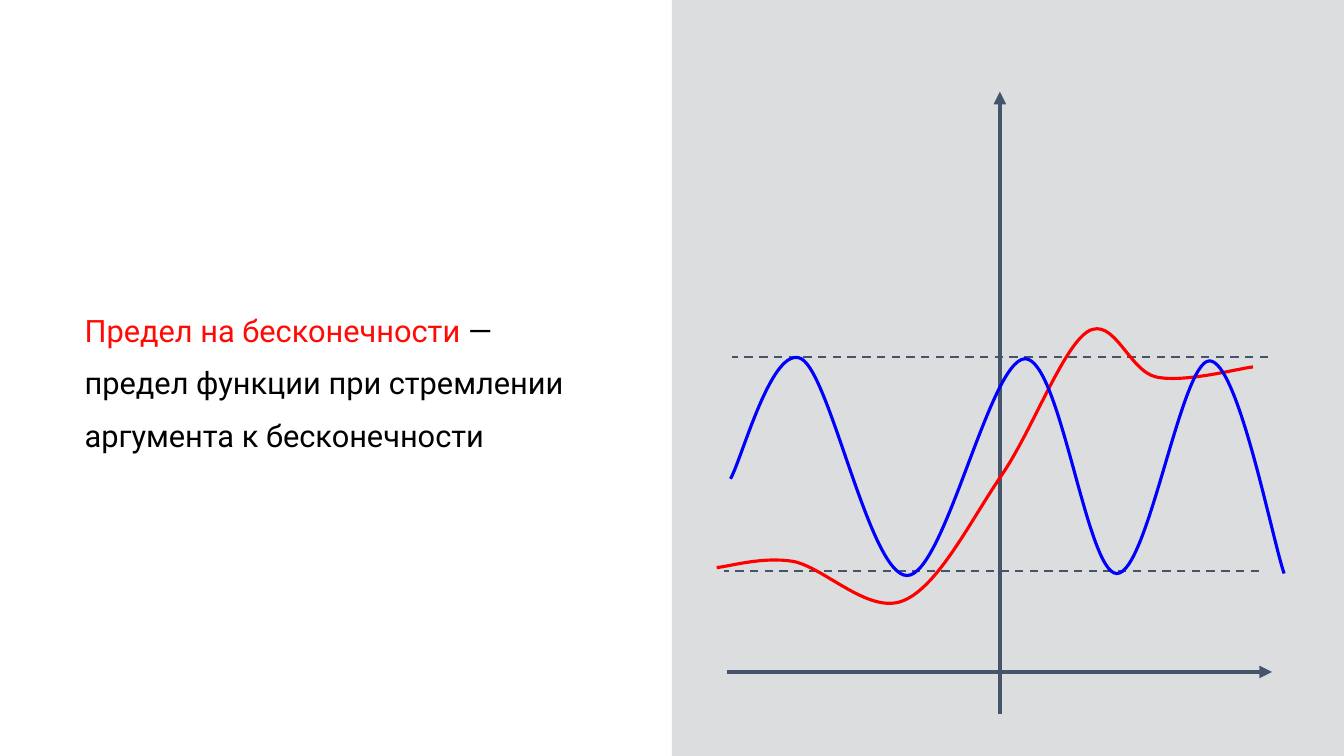
"""Build the slide that defines a limit at infinity."""
from lxml import etree
from pptx import Presentation
from pptx import util as u
from pptx.dml.color import RGBColor
from pptx.enum import dml, shapes, text
from pptx.oxml.ns import qn

PANEL, AXIS, RED, BLUE = "DCDDDF", "44546A", "FF0000", "0000FF"

CONVERGING = [
    (511.9, 405.4), (521.3, 404.6), (544.3, 397.4),
    (566.6, 401), (589, 405.4), (620.6, 439.2),
    (645.1, 429.1), (670.3, 419), (693.4, 371.5),
    (715.7, 339.1), (737.3, 307.4), (758.9, 248.4),
    (776.9, 236.9), (795.6, 225.4), (806.4, 265),
    (825.8, 269.3), (846, 273.6), (883.4, 263.5), (895, 262.1),
]
OSCILLATING = [
    (521.8, 342), (529.9, 328.3), (551.5, 245.5),
    (572.4, 256.3), (593.3, 267.8), (621.4, 411.1),
    (648, 411.1), (674.6, 411.1), (707, 257),
    (732.2, 256.3), (757.4, 256.3), (776.2, 409.7),
    (797.8, 409.7), (820.1, 409.7), (843.8, 257.8),
    (864, 257.8), (884.2, 257.8), (908.6, 384.5), (917.3, 409.7),
]


def color(value):
    """Return the colour for a hex string."""
    return RGBColor.from_string(value)


def add_panel(page, left, top, width, height):
    """Add the plain grey background panel."""
    panel = page.shapes.add_shape(
        shapes.MSO_SHAPE.RECTANGLE, *map(u.Pt, (left, top, width, height)))
    panel.shadow.inherit = False
    panel.fill.solid()
    panel.fill.fore_color.rgb = color(PANEL)
    panel.line.fill.background()


def add_line(page, start, end, width):
    """Add a straight line without a shadow and return it."""
    line = page.shapes.add_connector(
        shapes.MSO_CONNECTOR.STRAIGHT, *map(u.Pt, start + end))
    line.line.color.rgb = color(AXIS)
    line.line.width = u.Pt(width)
    etree.SubElement(line._element.spPr, qn("a:effectLst"))
    return line


def add_axis(page, start, end):
    """Add a coordinate axis with an arrowhead at its end."""
    axis = add_line(page, start, end, 3)
    etree.SubElement(axis.line._get_or_add_ln(), qn("a:tailEnd"), type="triangle")


def add_bound(page, left, right, y):
    """Add a horizontal dashed bound."""
    bound = add_line(page, (left, y), (right, y), 1.5)
    bound.line.dash_style = dml.MSO_LINE.DASH


def add_command(outline, tag, points, origin):
    """Append one drawing command with its points to an outline."""
    command = etree.SubElement(outline, qn(tag))
    for point in points:
        x, y = (str(u.Pt(value - base)) for value, base in zip(point, origin))
        etree.SubElement(command, qn("a:pt"), x=x, y=y)


def add_curve(page, knots, corner, opposite, line_color):
    """Add an open curve of cubic segments within the given corners."""
    builder = page.shapes.build_freeform(*map(u.Pt, corner))
    builder.add_line_segments([tuple(map(u.Pt, opposite))], close=False)
    curve = builder.convert_to_shape()
    outline = next(curve._element.iter(qn("a:path")))
    for command in list(outline):
        outline.remove(command)
    add_command(outline, "a:moveTo", knots[:1], corner)
    for first in range(1, len(knots), 3):
        add_command(outline, "a:cubicBezTo", knots[first:first + 3], corner)
    curve.shadow.inherit = False
    curve.fill.background()
    curve.line.color.rgb = color(line_color)
    curve.line.width = u.Pt(2.25)


def fill_definition(box, spans):
    """Place the title box and fill it with coloured spans."""
    box.left, box.top, box.width, box.height = map(u.Pt, (53.3, 54.5, 368.6, 426.2))
    frame = box.text_frame
    frame.word_wrap = True
    frame.auto_size = text.MSO_AUTO_SIZE.NONE
    frame.vertical_anchor = text.MSO_ANCHOR.MIDDLE
    para = frame.paragraphs[0]
    para.alignment = text.PP_ALIGN.LEFT
    para.line_spacing = 1.42
    para.font.name = "Roboto"
    para.font.size = u.Pt(22)
    for words, span_color in spans:
        span = para.add_run()
        span.text = words
        span.font.color.rgb = color(span_color)


def main():
    """Build and save the slide."""
    deck = Presentation()
    deck.slide_width, deck.slide_height = u.Pt(960), u.Pt(540)
    page = deck.slides.add_slide(deck.slide_layouts[5])
    add_panel(page, 480, 0, 480, 540)
    fill_definition(page.shapes.title, [
        ("Предел на бесконечности ", "FF0A05"),
        ("— предел функции при стремлении аргумента к бесконечности", "000000"),
    ])
    add_axis(page, (714.2, 510), (714.2, 65.5))
    add_axis(page, (519.1, 480), (908.6, 480))
    add_bound(page, 905.8, 522.7, 255.3)
    add_bound(page, 899.3, 517, 407.9)
    add_curve(page, CONVERGING, (511.9, 234.7), (895, 431.3), RED)
    add_curve(page, OSCILLATING, (521.8, 255.6), (917.3, 411.1), BLUE)
    deck.save("out.pptx")


if __name__ == "__main__":
    main()
